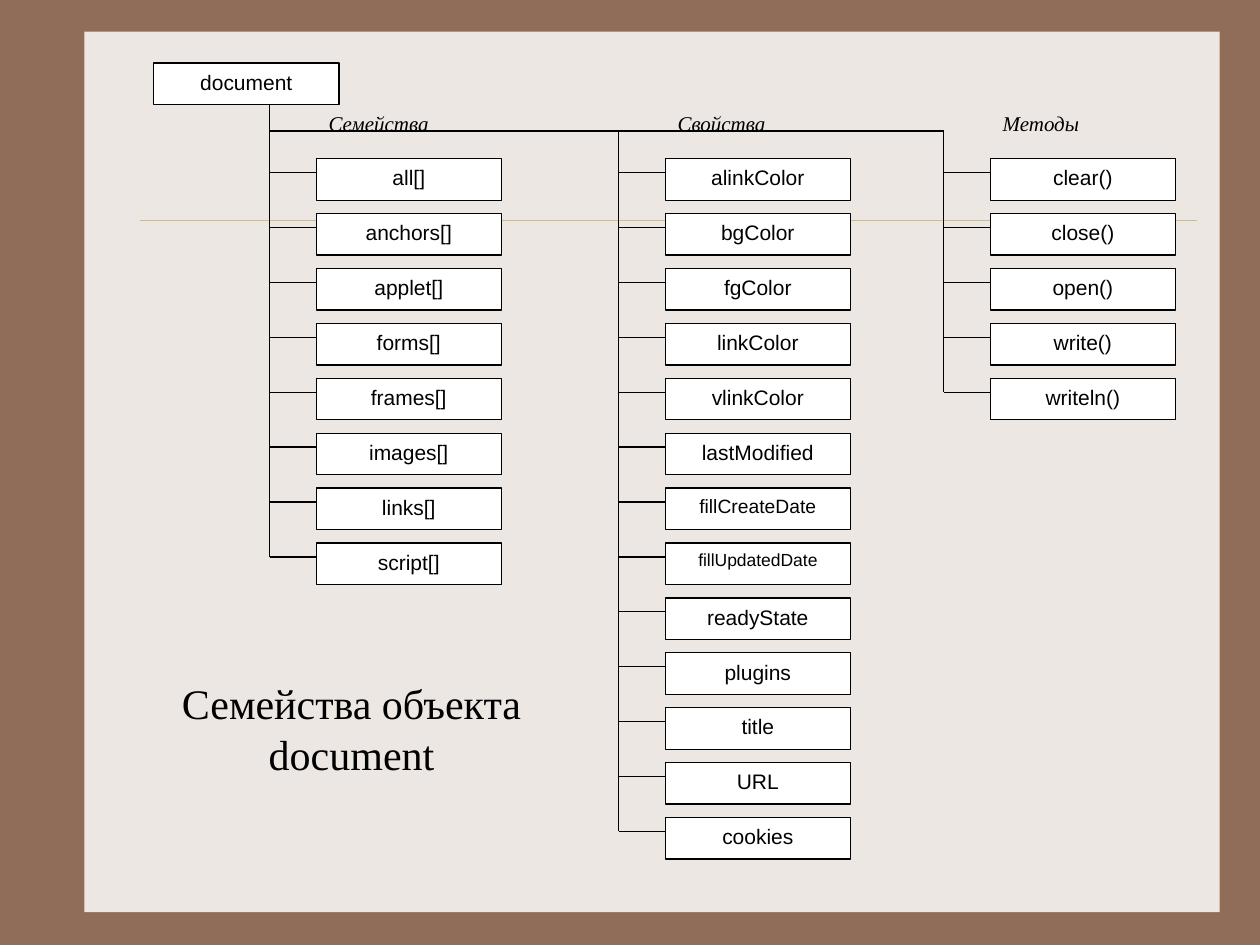
from dataclasses import dataclass

from lxml.etree import SubElement
from pptx import Presentation as Deck
from pptx.dml.color import RGBColor as Color
from pptx.enum.shapes import MSO_CONNECTOR as Link
from pptx.enum.shapes import MSO_SHAPE as Form
from pptx.enum.text import MSO_ANCHOR as Anchor
from pptx.enum.text import MSO_AUTO_SIZE as Fit
from pptx.enum.text import PP_ALIGN as Align
from pptx.oxml.ns import qn
from pptx.util import Inches, Pt


@dataclass(frozen=True)
class Theme:
    back: str = "906D58"
    panel: str = "EDE7E3"
    rule: str = "CBBD83"
    ink: str = "000000"
    paper: str = "FFFFFF"
    sans: str = "Arial"
    serif: str = "Times New Roman"
    body: float = 12
    small: float = 11
    tiny: float = 10
    title: float = 24
    thin: float = 0.25
    line: float = 0.75


@dataclass(frozen=True)
class Branch:
    label: str
    left: float
    items: tuple[str, ...]
    tight: tuple[str, ...] = ()


THEME = Theme()
WIDE, HIGH = 1.47, 0.33
TOP, STEP = 1.26, 0.4357
STUB, DROP = 0.37, 0.11
ROOT_X, ROOT_Y = 1.22, 0.5
BUS = 1.04
SIZES = {"fillCreateDate": THEME.small, "fillUpdatedDate": THEME.tiny}

BRANCHES = (
    Branch("Семейства", 2.51, (
        "all[]", "anchors[]", "applet[]", "forms[]",
        "frames[]", "images[]", "links[]", "script[]")),
    Branch("Свойства", 5.28, (
        "alinkColor", "bgColor", "fgColor", "linkColor", "vlinkColor",
        "lastModified", "fillCreateDate", "fillUpdatedDate", "readyState",
        "plugins", "title", "URL", "cookies"),
        ("lastModified", "fillCreateDate", "fillUpdatedDate", "readyState")),
    Branch("Методы", 7.86, (
        "clear()", "close()", "open()", "write()", "writeln()")),
)


def apply(target, values: dict) -> None:
    for name, value in values.items():
        setattr(target, name, value)


def write(shape, text: str, font: dict, para: dict, side: float = 0.1,
          fit: Fit = Fit.NONE) -> None:
    frame = shape.text_frame
    apply(frame, {
        "word_wrap": True, "auto_size": fit, "vertical_anchor": Anchor.TOP,
        "margin_left": Inches(side), "margin_right": Inches(side),
        "margin_top": Inches(0.05), "margin_bottom": Inches(0.05)})
    line = frame.paragraphs[0]
    apply(line, para)
    run = line.add_run()
    run.text = text
    apply(run.font, font)
    run.font.color.rgb = Color.from_string(THEME.ink)


def block(shapes, x: float, y: float, w: float, h: float, fill: str):
    shape = shapes.add_shape(
        Form.RECTANGLE, Inches(x), Inches(y), Inches(w), Inches(h))
    shape.shadow.inherit = False
    shape.fill.solid()
    shape.fill.fore_color.rgb = Color.from_string(fill)
    shape.line.fill.background()
    return shape


def node(shapes, text: str, x: float, y: float, side: float = 0.1) -> None:
    shape = block(shapes, x, y, WIDE, HIGH, THEME.paper)
    shape.line.color.rgb = Color.from_string(THEME.ink)
    shape.line.width = Pt(THEME.line)
    size = SIZES.get(text, THEME.body)
    write(shape, text, {"name": THEME.sans, "size": Pt(size)},
          {"alignment": Align.CENTER}, side)


def wire(shapes, x: float, y: float, end_x: float, end_y: float,
         color: str = THEME.ink, width: float = THEME.line) -> None:
    line = shapes.add_connector(
        Link.STRAIGHT, Inches(x), Inches(y), Inches(end_x), Inches(end_y))
    line.line.color.rgb = Color.from_string(color)
    line.line.width = Pt(width)
    SubElement(line.element.spPr, qn("a:effectLst"))


def label(shapes, text: str, x: float, y: float, w: float, h: float,
          font: dict, para: dict, fit: Fit = Fit.NONE) -> None:
    box = shapes.add_textbox(Inches(x), Inches(y), Inches(w), Inches(h))
    write(box, text, {"name": THEME.serif, **font}, para, fit=fit)


def grow(shapes, branch: Branch, start: float) -> None:
    trunk = branch.left - STUB
    last = TOP + (len(branch.items) - 1) * STEP + DROP
    wire(shapes, trunk, start, trunk, last)
    for row, item in enumerate(branch.items):
        y = TOP + row * STEP
        node(shapes, item, branch.left, y, 0 if item in branch.tight else 0.1)
        wire(shapes, trunk, y + DROP, branch.left, y + DROP)
    label(shapes, branch.label, branch.left, ROOT_Y + HIGH, WIDE, HIGH,
          {"size": Pt(THEME.body), "italic": True}, {"alignment": Align.LEFT})


def main() -> None:
    deck = Deck()
    apply(deck, {"slide_width": Inches(10), "slide_height": Inches(7.5)})
    slide = deck.slides.add_slide(deck.slide_layouts[6])
    fill = slide.background.fill
    fill.solid()
    fill.fore_color.rgb = Color.from_string(THEME.back)

    block(slide.shapes, 0.67, 0.25, 9.01, 6.99, THEME.panel)
    wire(slide.shapes, 1.11, 1.75, 9.5, 1.75, THEME.rule, THEME.thin)

    tree = slide.shapes.add_group_shape().shapes
    node(tree, "document", ROOT_X, ROOT_Y)
    wire(tree, BRANCHES[0].left - STUB, BUS, BRANCHES[-1].left - STUB, BUS)
    for rank, branch in enumerate(BRANCHES):
        grow(tree, branch, BUS if rank else ROOT_Y + HIGH)

    label(slide.shapes, "Семейства объекта document", 1.25, 5.33, 3.08, 0.9,
          {"size": Pt(THEME.title)},
          {"alignment": Align.CENTER, "space_before": Pt(15)},
          Fit.SHAPE_TO_FIT_TEXT)
    deck.save("out.pptx")


if __name__ == "__main__":
    main()
